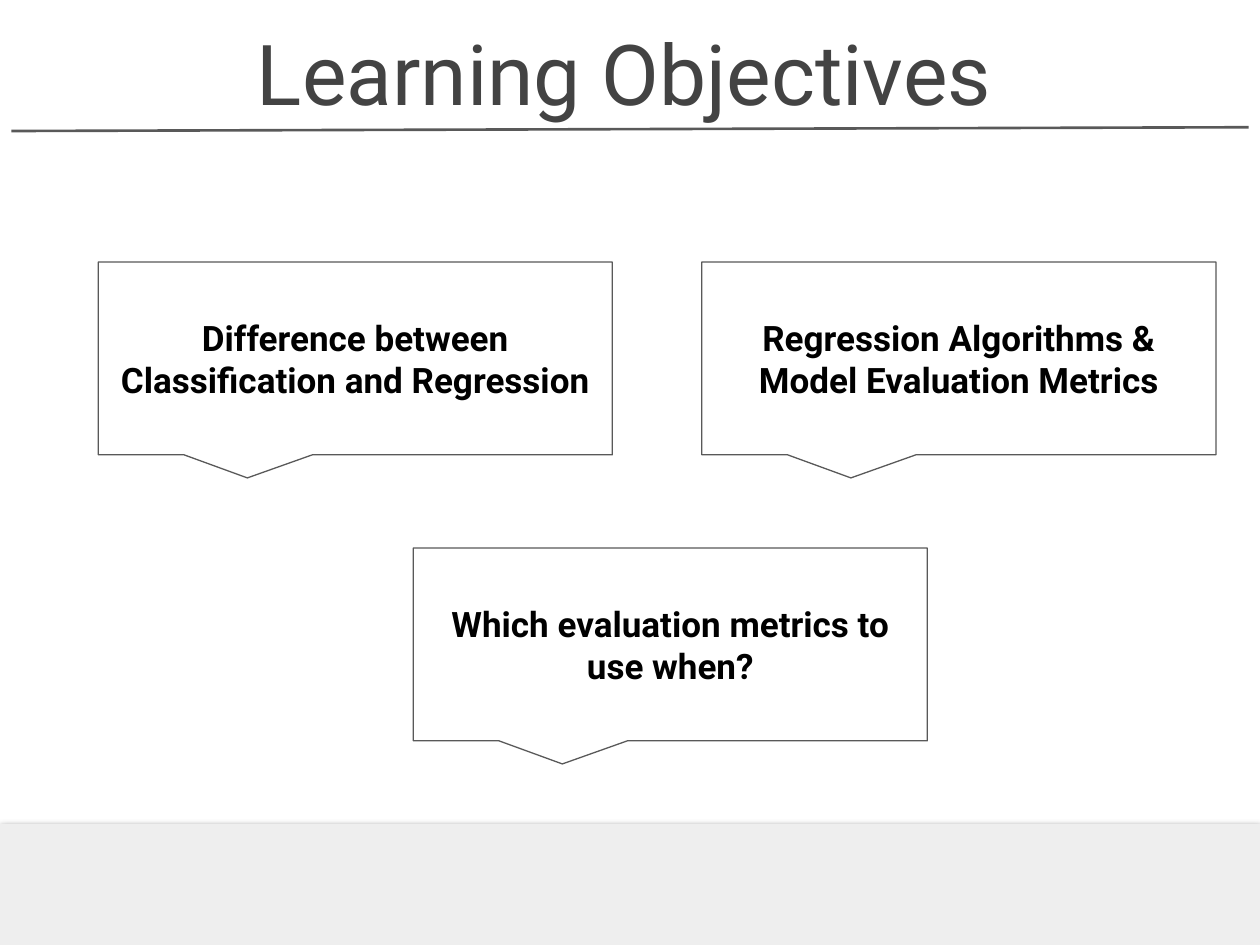
from dataclasses import dataclass

from lxml.etree import SubElement
from pptx import Presentation
from pptx.dml.color import RGBColor as RGB
from pptx.enum.shapes import MSO_CONNECTOR as CONN, MSO_SHAPE as SHAPE
from pptx.enum.text import MSO_ANCHOR as ANCHOR, PP_ALIGN as ALIGN
from pptx.oxml.ns import qn
from pptx.util import Inches, Pt

COLS, ROWS = 100, 75
SLIDE_W, SLIDE_H = Inches(10), Inches(7.5)
CARD_W, CARD_H = 40.8, 15.3
TOP_ROW, BOTTOM_ROW = 20.8, 43.5
CARDS = [
    ("Regression Algorithms & Model Evaluation Metrics", 55.7, TOP_ROW),
    ("Difference between Classification and Regression", 7.8, TOP_ROW),
    ("Which evaluation metrics to use when?", 32.8, BOTTOM_ROW),
]


@dataclass(frozen=True)
class Theme:
    """Colours, font and type sizes of the slide."""
    font: str = "Roboto"
    title: RGB = RGB(0x43, 0x43, 0x43)
    text: RGB = RGB(0, 0, 0)
    line: RGB = RGB(0x59, 0x59, 0x59)
    band: RGB = RGB(0xEE, 0xEE, 0xEE)
    title_size: int = 48
    card_size: int = 20


THEME = Theme()


def grid(col, row):
    """Turn grid columns and rows into slide lengths."""
    return int(SLIDE_W * col / COLS), int(SLIDE_H * row / ROWS)


def set_text(sp, text, size, color, bold, anchor):
    """Write one centred paragraph in a shape."""
    tf = sp.text_frame
    margins = {f"margin_{side}": Inches(0.1) for side in ("left", "top", "right", "bottom")}
    for name, value in {"word_wrap": True, "vertical_anchor": anchor, **margins}.items():
        setattr(tf, name, value)
    p = tf.paragraphs[0]
    p.alignment = ALIGN.CENTER
    r = p.add_run()
    r.text = text
    for name, value in {"name": THEME.font, "size": Pt(size), "bold": bold}.items():
        setattr(r.font, name, value)
    r.font.color.rgb = color


def add_title(s, text):
    """Place and format the title placeholder."""
    sp = s.shapes.title
    sp.left, sp.top = grid(13, 1.9)
    sp.width, sp.height = grid(73.1, 8.8)
    set_text(sp, text, THEME.title_size, THEME.title, False, ANCHOR.BOTTOM)


def add_rule(s):
    """Draw the line under the title."""
    cn = s.shapes.add_connector(CONN.STRAIGHT, *grid(0.9, 10.4), *grid(99.1, 10.1))
    cn.line.color.rgb = THEME.line
    cn.line.width = Pt(1.5)
    SubElement(cn._element.spPr, qn("a:effectLst"))


def add_band(s):
    """Draw the shaded footer band with its soft shadow."""
    sp = s.shapes.add_shape(SHAPE.RECTANGLE, *grid(0, 65.4), *grid(COLS, 10.1))
    sp.fill.solid()
    sp.fill.fore_color.rgb = THEME.band
    sp.line.fill.background()
    sp.shadow.inherit = False
    effects = sp._element.spPr.find(qn("a:effectLst"))
    shadow = SubElement(effects, qn("a:outerShdw"), blurRad=str(Pt(4.5)),
                        dist=str(Pt(1.5)), dir="5400000", algn="bl", rotWithShape="0")
    color = SubElement(shadow, qn("a:srgbClr"), val="000000")
    SubElement(color, qn("a:alpha"), val="50000")


def add_card(s, text, col, row):
    """Draw one objective as a square-cornered callout."""
    sp = s.shapes.add_shape(SHAPE.ROUNDED_RECTANGULAR_CALLOUT,
                            *grid(col, row), *grid(CARD_W, CARD_H))
    for i, value in enumerate((-0.21, 0.62, 0)):
        sp.adjustments[i] = value
    sp.fill.background()
    sp.line.color.rgb = THEME.line
    sp.line.width = Pt(0.75)
    sp.shadow.inherit = False
    set_text(sp, text, THEME.card_size, THEME.text, True, ANCHOR.MIDDLE)


def main():
    """Build and save the slide."""
    prs = Presentation()
    prs.slide_width, prs.slide_height = SLIDE_W, SLIDE_H
    s = prs.slides.add_slide(prs.slide_layouts[5])
    add_rule(s)
    add_band(s)
    add_title(s, "Learning Objectives")
    for card in CARDS:
        add_card(s, *card)
    prs.save("out.pptx")


if __name__ == "__main__":
    main()
